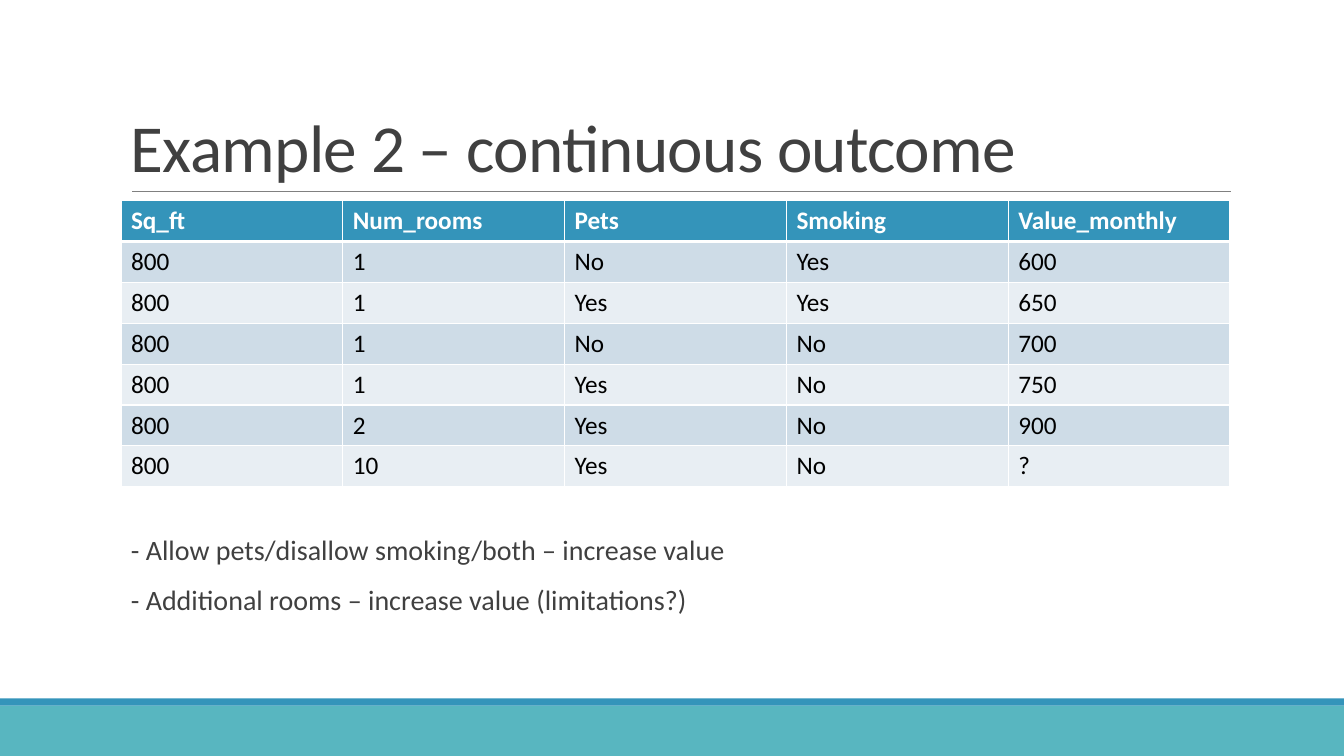
from lxml import etree
from pptx import Presentation
from pptx import util as u
from pptx.dml.color import RGBColor
from pptx.enum import shapes, text
from pptx.oxml.ns import qn

COLORS = {
    "teal": "58B6C0",
    "blue": "3494BA",
    "rule": "808080",
    "body": "404040",
    "white": "FFFFFF",
    "black": "000000",
    "dark_band": "CEDCE7",
    "light_band": "E8EEF3",
}

RENTALS = [
    ["Sq_ft", "Num_rooms", "Pets", "Smoking", "Value_monthly"],
    ["800", "1", "No", "Yes", "600"],
    ["800", "1", "Yes", "Yes", "650"],
    ["800", "1", "No", "No", "700"],
    ["800", "1", "Yes", "No", "750"],
    ["800", "2", "Yes", "No", "900"],
    ["800", "10", "Yes", "No", "?"],
]


def rgb(name):
    return RGBColor.from_string(COLORS[name])


def write(paragraph, content, size=18, color="body", bold=False, font="Calibri",
          line_spacing=None, before=0, after=0, tracking=None):
    """Add one formatted run; tracking is letter spacing in points."""
    paragraph.line_spacing = line_spacing
    paragraph.space_before = u.Pt(before)
    paragraph.space_after = u.Pt(after)
    run = paragraph.add_run()
    run.text = content
    run.font.name = font
    run.font.size = u.Pt(size)
    run.font.bold = bold
    run.font.color.rgb = rgb(color)
    if tracking is not None:
        run.font._element.set("spc", str(round(tracking * 100)))


def set_border(cell, side, width, color="white"):
    """Side is one of L, R, T, B and must be added in that order, before the fill."""
    line = etree.SubElement(cell._tc.get_or_add_tcPr(), qn(f"a:ln{side}"),
                            w=str(u.Pt(width)))
    fill = etree.SubElement(line, qn("a:solidFill"))
    etree.SubElement(fill, qn("a:srgbClr"), val=COLORS[color])


class SlideBuilder:
    def __init__(self, slide):
        self.slide = slide

    def bar(self, left, top, width, height, color):
        shape = self.slide.shapes.add_shape(
            shapes.MSO_SHAPE.RECTANGLE, *map(u.Inches, (left, top, width, height)))
        shape.shadow.inherit = False
        shape.fill.solid()
        shape.fill.fore_color.rgb = rgb(color)
        shape.line.fill.background()

    def rule(self, left, right, top, color, width):
        connector = self.slide.shapes.add_connector(
            shapes.MSO_CONNECTOR.STRAIGHT, *map(u.Inches, (left, top, right, top)))
        connector.line.color.rgb = rgb(color)
        connector.line.width = u.Pt(width)
        etree.SubElement(connector._element.spPr, qn("a:effectLst"))

    def text_box(self, left, top, width, height, lines,
                 anchor=text.MSO_ANCHOR.TOP, **style):
        box = self.slide.shapes.add_textbox(
            *map(u.Inches, (left, top, width, height)))
        frame = box.text_frame
        frame.word_wrap = True
        frame.vertical_anchor = anchor
        for index, line in enumerate(lines):
            paragraph = frame.add_paragraph() if index else frame.paragraphs[0]
            write(paragraph, line, **style)

    def table(self, left, top, width, height, rows):
        table = self.slide.shapes.add_table(
            len(rows), len(rows[0]),
            *map(u.Inches, (left, top, width, height))).table
        for row_index, row in enumerate(rows):
            header = row_index == 0
            band = "dark_band" if row_index % 2 else "light_band"
            for column_index, value in enumerate(row):
                cell = table.cell(row_index, column_index)
                set_border(cell, "L", 1)
                set_border(cell, "R", 1)
                set_border(cell, "T", 3 if row_index == 1 else 1)
                set_border(cell, "B", 3 if header else 1)
                cell.fill.solid()
                cell.fill.fore_color.rgb = rgb("blue" if header else band)
                write(cell.text_frame.paragraphs[0], value, bold=header,
                      color="white" if header else "black")


def main():
    presentation = Presentation()
    presentation.slide_width = u.Inches(13.33)
    presentation.slide_height = u.Inches(7.5)
    builder = SlideBuilder(
        presentation.slides.add_slide(presentation.slide_layouts[6]))

    builder.bar(0, 7, 13.33, 0.5, "teal")
    builder.bar(0, 6.93, 13.33, 0.07, "blue")
    builder.rule(1.31, 12.21, 1.9, "rule", 0.5)
    builder.text_box(1.2, 0.31, 11, 1.59, ["Example 2 – continuous outcome"],
                     anchor=text.MSO_ANCHOR.BOTTOM, size=48,
                     line_spacing=0.85, tracking=-0.5)
    builder.text_box(1.2, 5.27, 11, 1.15,
                     ["- Allow pets/disallow smoking/both – increase value",
                      "- Additional rooms – increase value (limitations?)"],
                     size=20, line_spacing=0.9, before=12, after=2)
    builder.table(1.2, 1.99, 11, 2.84, RENTALS)

    presentation.save("out.pptx")


if __name__ == "__main__":
    main()
